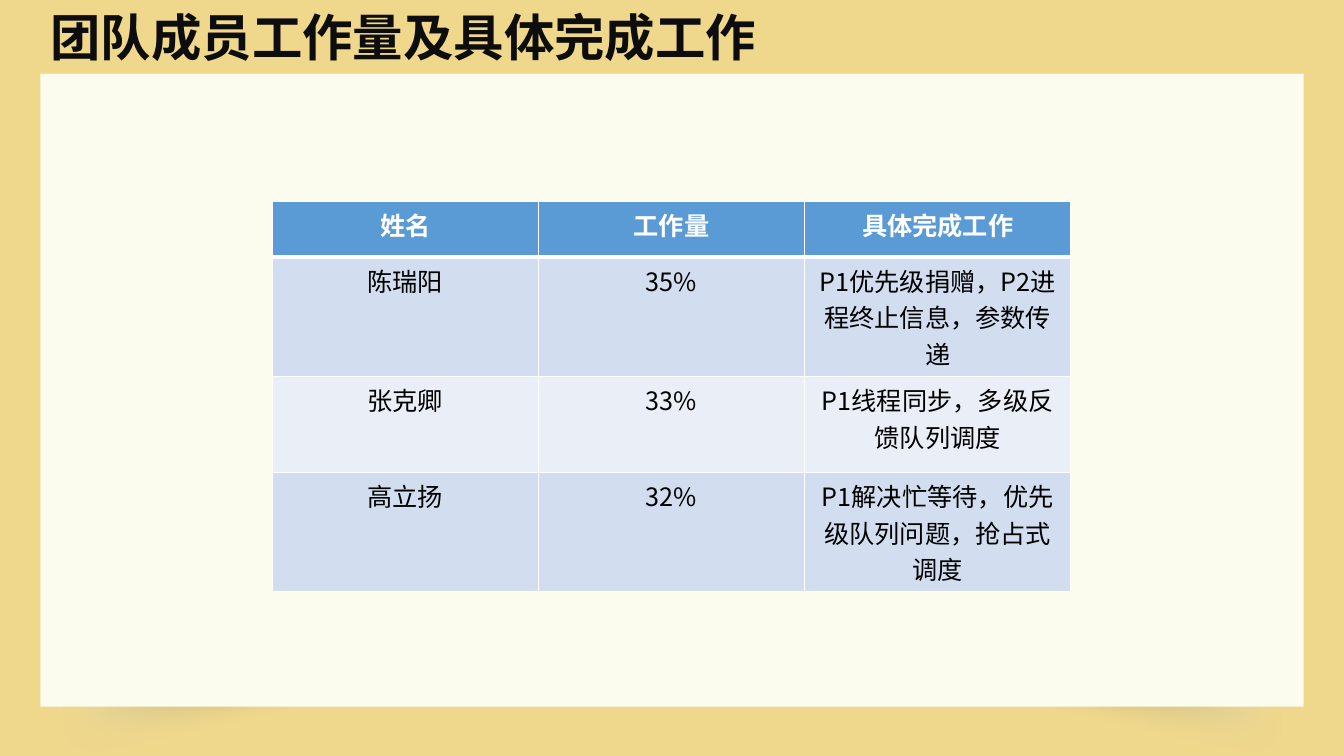
from dataclasses import dataclass

import pptx
import pptx.dml.color
import pptx.enum.shapes
import pptx.enum.text
import pptx.oxml
import pptx.oxml.ns
import pptx.util
from pptx.util import Inches

ANCHOR = pptx.enum.text.MSO_ANCHOR
ALIGN = pptx.enum.text.PP_ALIGN
SHAPE = pptx.enum.shapes.MSO_SHAPE
NS = pptx.oxml.ns.nsdecls("a")


@dataclass(frozen=True)
class Theme:
    font: str = "Noto Sans CJK SC"
    back: str = "EFD88C"
    panel: str = "FBFCED"
    title: str = "0D0D0D"
    head: str = "5B9BD5"
    bands: tuple[str, str] = ("D2DEEF", "EAEFF7")
    white: str = "FFFFFF"
    ink: str = "000000"
    fade: str = "E3E8EB"
    big: int = 36
    body: int = 18


@dataclass(frozen=True)
class Shade:
    left: float
    turn: int


@dataclass(frozen=True)
class Member:
    name: str
    share: str
    work: str


THEME = Theme()
SHADES = [Shade(9.26, 270), Shade(0.07, 90)]
HEAD = Member("姓名", "工作量", "具体完成工作")
TEAM = [
    Member("陈瑞阳", "35%", "P1优先级捐赠，P2进程终止信息，参数传递"),
    Member("张克卿", "33%", "P1线程同步，多级反馈队列调度"),
    Member("高立扬", "32%", "P1解决忙等待，优先级队列问题，抢占式调度"),
]


def rgb(code: str) -> pptx.dml.color.RGBColor:
    return pptx.dml.color.RGBColor.from_string(code)


def write(frame, text: str, *, size: int = THEME.body, color: str = THEME.ink,
          bold: bool = False, align=ALIGN.CENTER) -> None:
    frame.word_wrap = True
    para = frame.paragraphs[0]
    para.alignment = align
    run = para.add_run()
    run.text = text
    run.font.size = pptx.util.Pt(size)
    run.font.bold = bold
    run.font.color.rgb = rgb(color)
    run.font.name = THEME.font
    run.font._element.append(pptx.oxml.parse_xml(
        f'<a:ea {NS} typeface="{THEME.font}"/>'))


def add_shade(slide, shade: Shade) -> None:
    """Draw a soft, fading wedge that peeks out below the panel."""
    wedge = slide.shapes.add_shape(
        SHAPE.TRAPEZOID, Inches(shade.left), Inches(4.06), Inches(4), Inches(3.34))
    wedge.rotation = shade.turn
    wedge.line.fill.background()
    wedge.fill.gradient()
    wedge.fill.gradient_angle = 270
    for stop, color in zip(wedge.fill.gradient_stops, (THEME.ink, THEME.fade)):
        stop.color.rgb = rgb(color)
    props = wedge._element.spPr
    tint = props.findall(".//" + pptx.oxml.ns.qn("a:srgbClr"))[-1]
    tint.append(pptx.oxml.parse_xml(f'<a:alpha {NS} val="0"/>'))
    props.append(pptx.oxml.parse_xml(
        f'<a:effectLst {NS}><a:softEdge rad="{Inches(0.35)}"/></a:effectLst>'))


def add_panel(slide) -> None:
    panel = slide.shapes.add_shape(
        SHAPE.RECTANGLE, Inches(0.4), Inches(0.73), Inches(12.53), Inches(6.28))
    panel.shadow.inherit = False
    panel.fill.solid()
    panel.fill.fore_color.rgb = rgb(THEME.panel)
    panel.line.fill.background()


def edge(cell, **widths: int) -> None:
    """Set white borders in points, by side: L, R, T, B."""
    props = cell._tc.get_or_add_tcPr()
    for spot, (side, width) in enumerate(widths.items()):
        props.insert(spot, pptx.oxml.parse_xml(
            f'<a:ln{side} {NS} w="{pptx.util.Pt(width)}"><a:solidFill>'
            f'<a:srgbClr val="{THEME.white}"/></a:solidFill></a:ln{side}>'))


def add_grid(slide) -> None:
    rows = [HEAD, *TEAM]
    grid = slide.shapes.add_table(
        len(rows), 3, Inches(2.7), Inches(2), Inches(7.92), Inches(3.4)).table
    for col in grid.columns:
        col.width = Inches(2.64)
    for r, member in enumerate(rows):
        top = r == 0
        grid.rows[r].height = Inches(0.55 if top else 0.95)
        fill = THEME.head if top else THEME.bands[(r - 1) % 2]
        for c, text in enumerate((member.name, member.share, member.work)):
            cell = grid.cell(r, c)
            cell.fill.solid()
            cell.fill.fore_color.rgb = rgb(fill)
            edge(cell, L=1, R=1, T=3 if r == 1 else 1, B=3 if top else 1)
            write(cell.text_frame, text, bold=top,
                  color=THEME.white if top else THEME.ink)


def add_title(slide) -> None:
    title = slide.shapes.title
    title.left, title.top = Inches(0.4), Inches(0.01)
    title.width, title.height = Inches(12.87), Inches(0.71)
    frame = title.text_frame
    frame.vertical_anchor = ANCHOR.MIDDLE
    frame.auto_size = pptx.enum.text.MSO_AUTO_SIZE.NONE
    write(frame, "团队成员工作量及具体完成工作", size=THEME.big,
          color=THEME.title, bold=True, align=ALIGN.LEFT)


def main() -> None:
    deck = pptx.Presentation()
    deck.slide_width, deck.slide_height = Inches(13.33), Inches(7.5)
    slide = deck.slides.add_slide(deck.slide_layouts[5])
    slide.background.fill.solid()
    slide.background.fill.fore_color.rgb = rgb(THEME.back)
    for shade in SHADES:
        add_shade(slide, shade)
    add_panel(slide)
    add_grid(slide)
    add_title(slide)
    deck.save("out.pptx")


if __name__ == "__main__":
    main()
